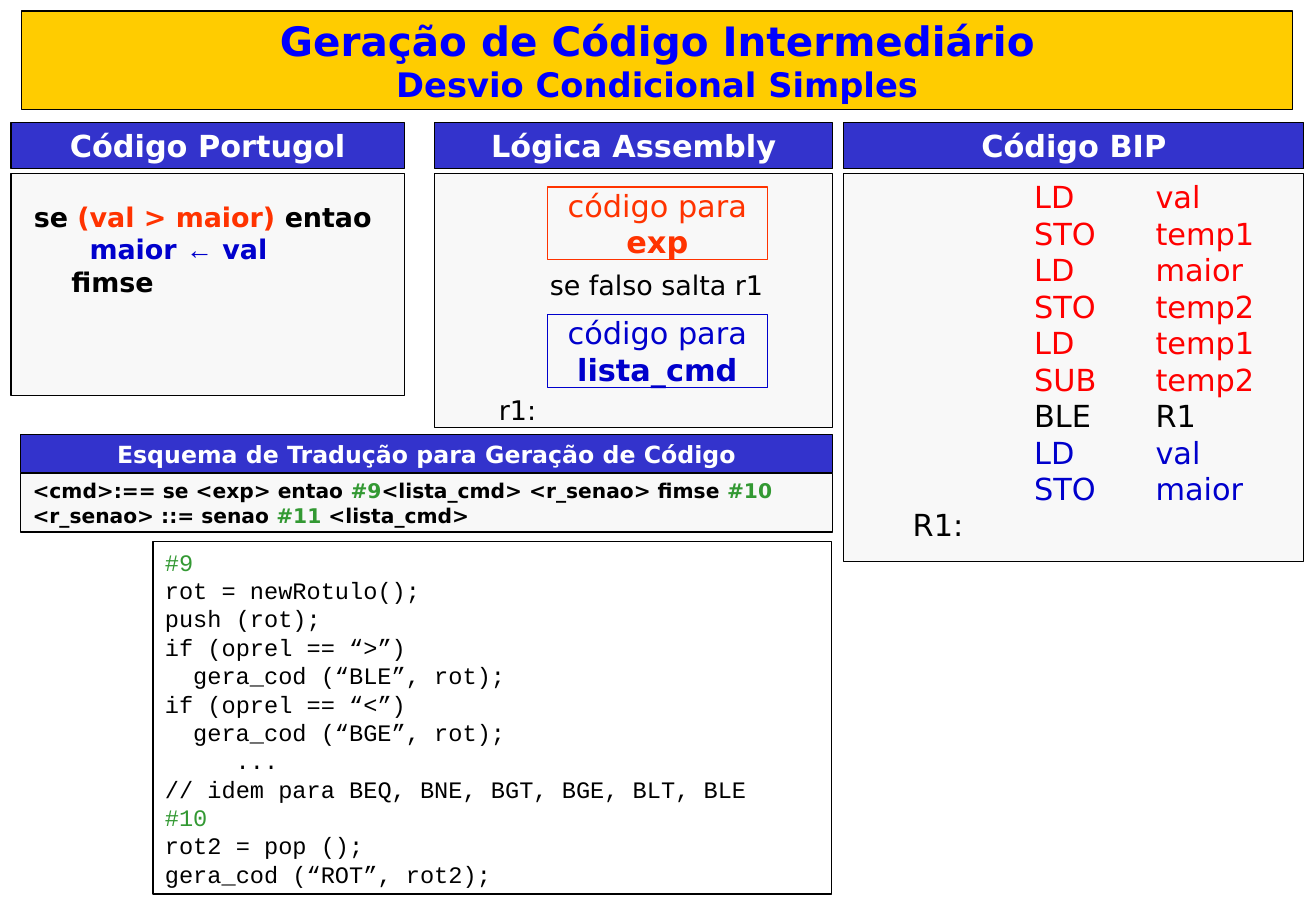
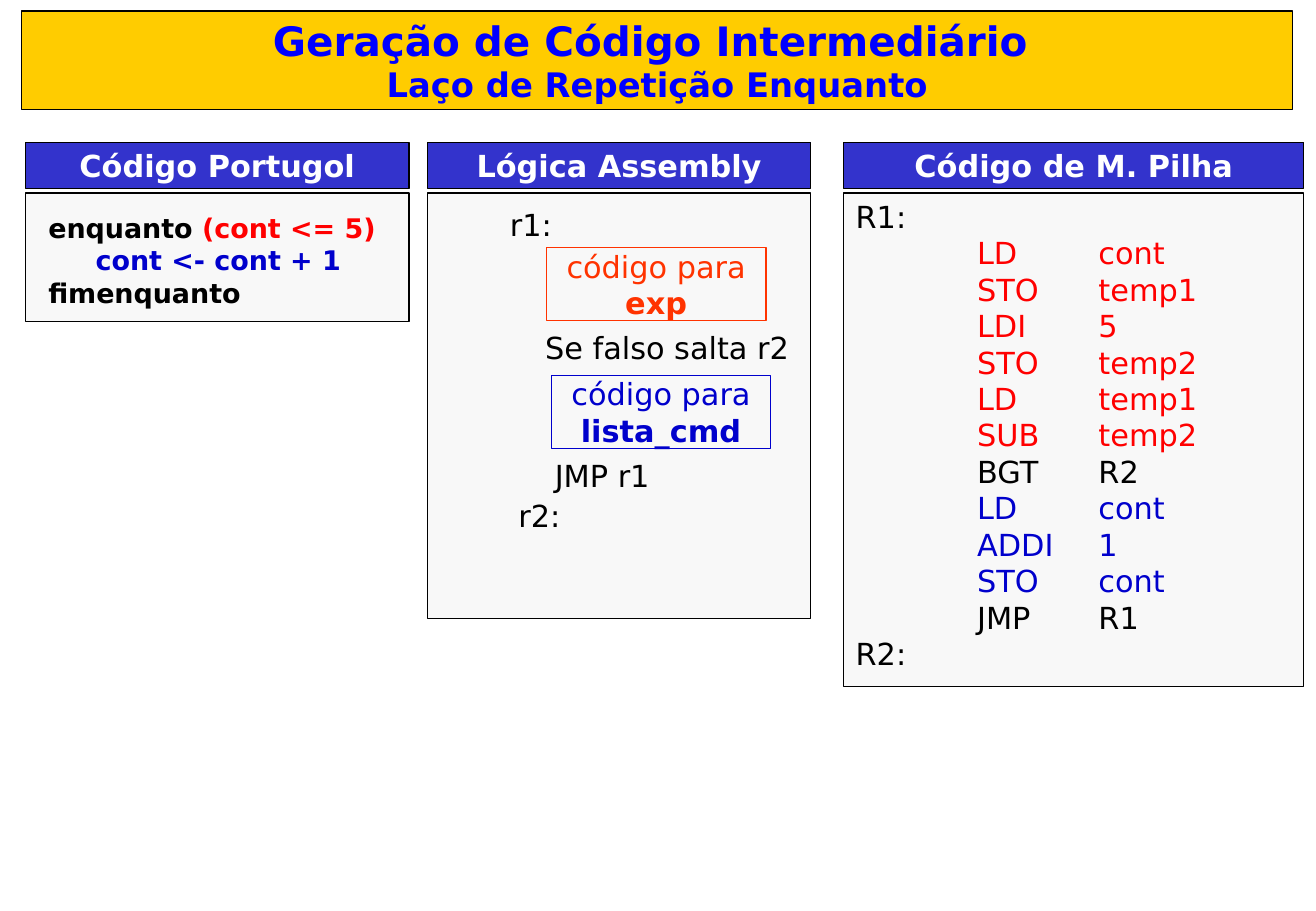
from lxml.etree import SubElement
from pptx import Presentation
from pptx.dml.color import RGBColor
from pptx.enum.shapes import MSO_SHAPE
from pptx.enum.text import MSO_ANCHOR, MSO_AUTO_SIZE, PP_ALIGN
from pptx.oxml.ns import qn
from pptx.util import Inches, Pt

WIDE, HIGH = 10.84, 7.5
SANS, MONO = "DejaVu Sans", "Courier New"
BLACK, WHITE, PALE = "000000", "FFFFFF", "F8F8F8"
GOLD, TITLE, BAND = "FFCC00", "0000FF", "3333CC"
RED, ORANGE, BLUE, GREEN = "FF0000", "FF3300", "0000CC", "339933"
WIDE_PAD, TIGHT_PAD = (0.1, 0.04), (0.02, 0)
HEAD, STEP = 0.38, 0.42
TABS = (1, 2)


def rgb(code):
    return RGBColor.from_string(code)


def run(text, color, **more):
    return text, dict(color=color, **more)


def line(*runs, dent=0):
    """A paragraph: its indent in inches and its runs."""
    return dent, runs


def write(frame, lines, pad=WIDE_PAD, anchor=MSO_ANCHOR.TOP,
          align=PP_ALIGN.LEFT, tabs=(), **base):
    """Fill a text frame; base holds the format that each run may change."""
    side, edge = (Inches(v) for v in pad)
    setup = dict(word_wrap=True, auto_size=MSO_AUTO_SIZE.NONE,
                 vertical_anchor=anchor, margin_left=side, margin_right=side,
                 margin_top=edge, margin_bottom=edge)
    for name, value in setup.items():
        setattr(frame, name, value)
    for num, (dent, runs) in enumerate(lines):
        para = frame.add_paragraph() if num else frame.paragraphs[0]
        para.alignment = align
        props = para._p.get_or_add_pPr()
        if dent:
            props.set("marL", str(Inches(dent)))
            props.set("indent", "0")
        if tabs:
            stops = SubElement(props, qn("a:tabLst"))
            for stop in tabs:
                SubElement(stops, qn("a:tab"), pos=str(Inches(stop)), algn="l")
        for text, own in runs:
            look = dict(name=SANS, size=18, bold=False) | base | own
            look["size"] = Pt(look["size"])
            color = look.pop("color")
            part = para.add_run()
            part.text = text
            for name, value in look.items():
                setattr(part.font, name, value)
            part.font.color.rgb = rgb(color)


def paint(shape, fill, edge):
    if fill:
        shape.fill.solid()
        shape.fill.fore_color.rgb = rgb(fill)
    else:
        shape.fill.background()
    shape.line.color.rgb = rgb(edge)
    shape.line.width = Pt(0.75)


def rect(slide, box, fill=None, edge=BLACK):
    shape = slide.shapes.add_shape(MSO_SHAPE.RECTANGLE, *map(Inches, box))
    shape.shadow.inherit = False
    paint(shape, fill, edge)
    return shape.text_frame


def label(slide, box, lines, **look):
    frame = slide.shapes.add_textbox(*map(Inches, box)).text_frame
    write(frame, lines, **look)


def start(deck, topic, theme):
    """Add a slide with its two-line title band."""
    slide = deck.slides.add_slide(deck.slide_layouts[5])
    title = slide.shapes.title
    box = dict(left=0.18, top=0.09, width=WIDE - 0.37, height=0.81)
    for name, value in box.items():
        setattr(title, name, Inches(value))
    paint(title, GOLD, BLACK)
    write(title.text_frame,
          [line(run(topic, TITLE, size=24)), line(run(theme, TITLE, size=20))],
          anchor=MSO_ANCHOR.MIDDLE, align=PP_ALIGN.CENTER, bold=True)
    return slide


def panel(slide, box, head, size=18, band=HEAD, step=STEP):
    """Draw a headed panel; return the box and the frame of its body."""
    x, y, w, h = box
    body = x, y + step, w, h - step
    frame = rect(slide, body, PALE)
    write(rect(slide, (x, y, w, band), BAND), [line(run(head, WHITE))],
          anchor=MSO_ANCHOR.MIDDLE, align=PP_ALIGN.CENTER, size=size, bold=True)
    return body, frame


def source(slide, box, lines, dx, dy):
    """Panel with the Portugol code, set dx and dy into its body."""
    (x, y, w, _), _ = panel(slide, box, "Código Portugol")
    label(slide, (x + dx, y + dy, w - dx, 0.88), lines, size=16, bold=True)


def logic(slide, box, blocks, notes, size):
    """Panel with framed blocks and plain notes, placed from its body's corner."""
    (x, y, w, _), _ = panel(slide, box, "Lógica Assembly")
    for dx, dy, word, color in blocks:
        frame = rect(slide, (x + dx, y + dy, 1.81, 0.6), edge=color)
        text = line(run("código para ", color), run(word, color, bold=True))
        write(frame, [text], pad=TIGHT_PAD, align=PP_ALIGN.CENTER)
    for dx, dy, text in notes:
        label(slide, (x + dx, y + dy, w - dx, 0.3), [line(run(text, BLACK))],
              pad=TIGHT_PAD, size=size)


def listing(slide, box, head, groups, dx=0):
    """Panel with instructions in tabbed columns; labels stay at the left."""
    (x, y, w, h), _ = panel(slide, box, head)
    lines = [line(run(code if code.endswith(":") else "\t" + code, color))
             for color, codes in groups for code in codes]
    label(slide, (x + dx, y, w - dx, h), lines, tabs=TABS)


def scheme(slide, box):
    _, frame = panel(slide, box, "Esquema de Tradução para Geração de Código",
                     size=14, band=0.31, step=0.32)
    write(frame, [
        line(run("<cmd>:== se <exp> entao ", BLACK), run("#9", GREEN),
             run("<lista_cmd> <r_senao> fimse ", BLACK), run("#10", GREEN)),
        line(run("<r_senao> ::= senao ", BLACK), run("#11", GREEN),
             run(" <lista_cmd>", BLACK)),
    ], size=12, bold=True)


def actions(slide, box):
    """Frame with the semantic actions; each code line has its indent."""
    codes = [
        (0, "#9"), (0, "rot = newRotulo();"), (0, "push (rot);"),
        (0, "if (oprel == “>”)"), (2, "gera_cod (“BLE”, rot);"),
        (0, "if (oprel == “<”)"), (2, "gera_cod (“BGE”, rot);"),
        (5, "..."), (0, "// idem para BEQ, BNE, BGT, BGE, BLT, BLE"),
        (0, "#10"), (0, "rot2 = pop ();"), (0, "gera_cod (“ROT”, rot2);"),
    ]
    char = 14 * 0.6 / 72
    lines = [line(run(code, GREEN if code.startswith("#") else BLACK),
                  dent=cols * char) for cols, code in codes]
    write(rect(slide, box), lines, pad=(0.1, 0.05), name=MONO, size=14)


def branch(deck):
    slide = start(deck, "Geração de Código Intermediário",
                  "Desvio Condicional Simples")
    top = 1.01
    source(slide, (0.09, top, 3.24, 2.25), [
        line(run("se ", BLACK), run("(val > maior)", ORANGE),
             run(" entao", BLACK)),
        line(run("maior ", BLUE), run("←", BLUE, name="Arial"),
             run(" val", BLUE), dent=0.46),
        line(run("fimse", BLACK), dent=0.31),
    ], 0.09, 0.18)
    logic(slide, (3.58, top, 3.28, 2.51),
          [(0.93, 0.11, "exp", ORANGE), (0.93, 1.16, "lista_cmd", BLUE)],
          [(0.93, 0.78, "se falso salta r1"), (0.51, 1.81, "r1:")], 16)
    listing(slide, (6.95, top, 3.79, 3.61), "Código BIP", [
        (RED, ["LD\tval", "STO\ttemp1", "LD\tmaior", "STO\ttemp2",
               "LD\ttemp1", "SUB\ttemp2"]),
        (BLACK, ["BLE\tR1"]),
        (BLUE, ["LD\tval", "STO\tmaior"]),
        (BLACK, ["R1:"]),
    ], dx=0.47)
    scheme(slide, (0.17, 3.58, 6.69, 0.8))
    actions(slide, (1.26, 4.46, 5.59, 2.9))


def loop(deck):
    slide = start(deck, "Geração de Código Intermediário ",
                  "Laço de Repetição Enquanto")
    top = 1.17
    source(slide, (0.21, top, 3.16, 1.48), [
        line(run("enquanto ", BLACK), run("(cont <= 5)", RED)),
        line(run("cont <- cont + 1", BLUE), dent=0.39),
        line(run("fimenquanto", BLACK)),
    ], 0.09, 0.11)
    logic(slide, (3.52, top, 3.16, 3.92),
          [(0.98, 0.45, "exp", ORANGE), (1.02, 1.5, "lista_cmd", BLUE)],
          [(0.66, 0.11, "r1:"), (0.95, 1.12, "Se falso salta r2"),
           (1.03, 2.17, "JMP r1"), (0.73, 2.5, "r2:")], 18)
    listing(slide, (6.95, top, 3.79, 4.48), "Código de M. Pilha", [
        (BLACK, ["R1:"]),
        (RED, ["LD\tcont", "STO\ttemp1", "LDI\t5", "STO\ttemp2",
               "LD\ttemp1", "SUB\ttemp2"]),
        (BLACK, ["BGT\tR2"]),
        (BLUE, ["LD\tcont", "ADDI\t1", "STO\tcont"]),
        (BLACK, ["JMP\tR1", "R2:"]),
    ])


def main():
    deck = Presentation()
    deck.slide_width, deck.slide_height = Inches(WIDE), Inches(HIGH)
    branch(deck)
    loop(deck)
    deck.save("out.pptx")


if __name__ == "__main__":
    main()
